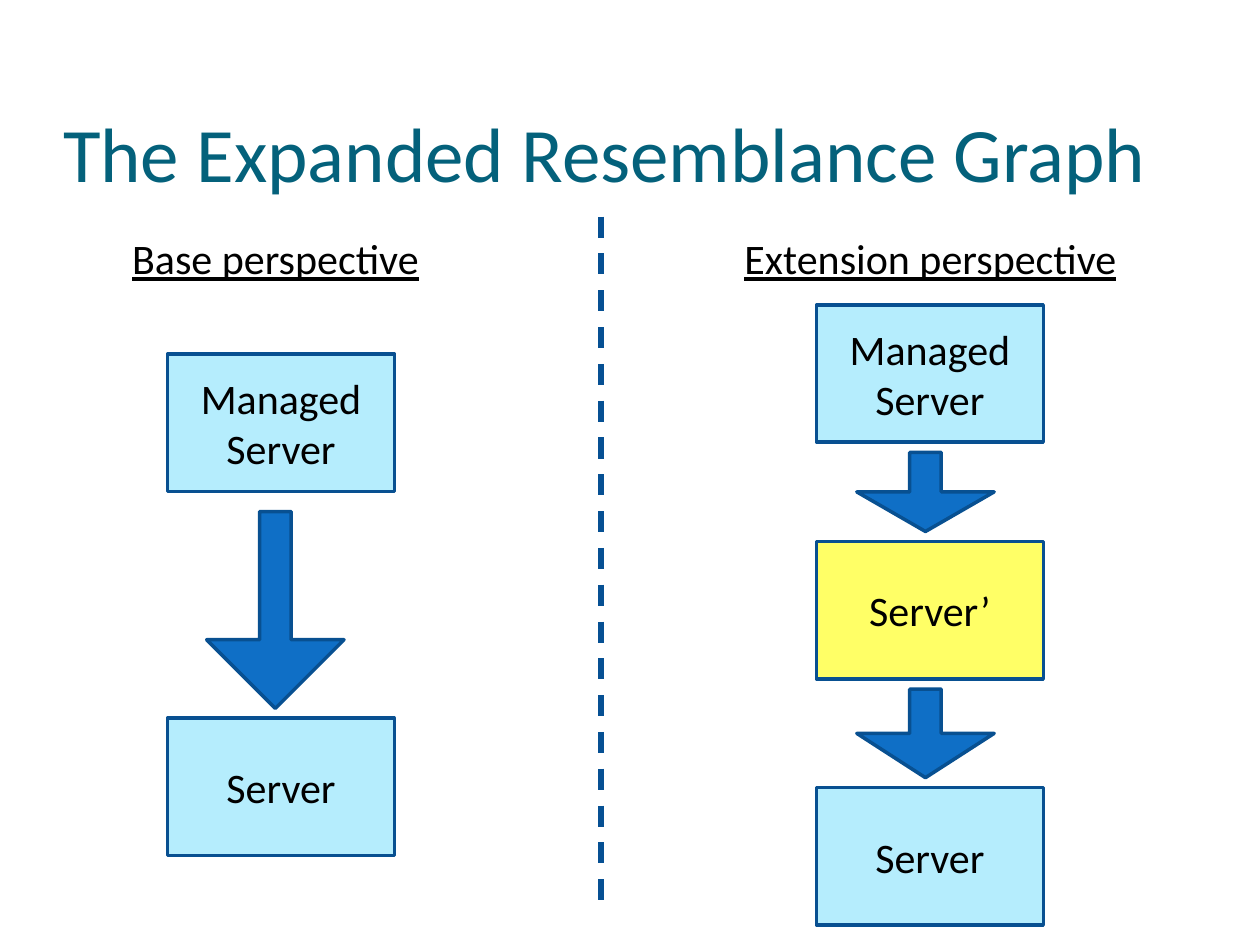
from lxml.etree import SubElement
from pptx import Presentation
from pptx.dml.color import RGBColor
from pptx.enum.dml import MSO_LINE
from pptx.enum.shapes import MSO_CONNECTOR, MSO_SHAPE
from pptx.enum.text import MSO_ANCHOR, MSO_AUTO_SIZE, PP_ALIGN
from pptx.oxml.ns import qn
from pptx.util import Pt

TITLE = "The Expanded Resemblance Graph"
CYAN, YELLOW, BLUE, NAVY = "B5EDFD", "FFFF66", "0F6FC6", "085091"
BOX_WIDTH, BOX_HEIGHT = 129.6, 78.5
ARROW_WIDTH = 78.5
PERSPECTIVES = [
    {
        "heading": ("Base perspective", 68.4, 178.6),
        "box_left": 95.8,
        "boxes": [("Managed\nServer", 202.3, CYAN), ("Server", 410.4, CYAN)],
        "arrow_left": 118.1,
        "arrows": [(292.3, 112.5)],
    },
    {
        "heading": ("Extension perspective", 418.3, 227.5),
        "box_left": 466.6,
        "boxes": [("Managed\nServer", 174.2, CYAN), ("Server’", 309.4, YELLOW),
                  ("Server", 450, CYAN)],
        "arrow_left": 489.6,
        "arrows": [(258.5, 45.2), (393.8, 50.6)],
    },
]


def color(hex_value):
    return RGBColor.from_string(hex_value)


def place(shape, *bounds):
    for name, value in zip(("left", "top", "width", "height"), bounds):
        setattr(shape, name, Pt(value))


def write(shape, text, frame_format, align=PP_ALIGN.LEFT, size=24,
          font_color="000000", underline=None):
    frame = shape.text_frame
    for name, value in frame_format.items():
        setattr(frame, name, value)
    frame.text = text
    font_format = {"name": "Calibri", "size": Pt(size), "underline": underline}
    for paragraph in frame.paragraphs:
        paragraph.alignment = align
        for name, value in font_format.items():
            setattr(paragraph.font, name, value)
        paragraph.font.color.rgb = color(font_color)


def add_block(slide, kind, bounds, fill):
    shape = slide.shapes.add_shape(kind, *map(Pt, bounds))
    shape.shadow.inherit = False
    shape.fill.solid()
    shape.fill.fore_color.rgb = color(fill)
    shape.line.color.rgb = color(NAVY)
    shape.line.width = Pt(2)
    return shape


def add_perspective(slide, perspective):
    text, left, width = perspective["heading"]
    heading = slide.shapes.add_textbox(Pt(left), Pt(129.6), Pt(width), Pt(36))
    write(heading, text, {"word_wrap": False,
                          "auto_size": MSO_AUTO_SIZE.SHAPE_TO_FIT_TEXT},
          underline=True)
    for text, top, fill in perspective["boxes"]:
        bounds = (perspective["box_left"], top, BOX_WIDTH, BOX_HEIGHT)
        box = add_block(slide, MSO_SHAPE.RECTANGLE, bounds, fill)
        write(box, text, {"vertical_anchor": MSO_ANCHOR.MIDDLE}, PP_ALIGN.CENTER)
    for top, height in perspective["arrows"]:
        bounds = (perspective["arrow_left"], top, ARROW_WIDTH, height)
        arrow = add_block(slide, MSO_SHAPE.DOWN_ARROW, bounds, BLUE)
        arrow.adjustments[0] = 0.23
        arrow.adjustments[1] = 0.5


def add_divider(slide):
    divider = slide.shapes.add_connector(
        MSO_CONNECTOR.STRAIGHT, Pt(343.4), Pt(123.8), Pt(343.4), Pt(523.4))
    divider.line.color.rgb = color("065093")
    divider.line.width = Pt(3)
    divider.line.dash_style = MSO_LINE.DASH
    SubElement(divider.element.spPr, qn("a:effectLst"))


def main():
    presentation = Presentation()
    presentation.slide_width, presentation.slide_height = Pt(720), Pt(540)
    slide = presentation.slides.add_slide(presentation.slide_layouts[5])
    title = slide.shapes.title
    place(title, 36, 39.6, 648, 73.4)
    write(title, TITLE, {"margin_left": 0, "margin_right": 0,
                         "margin_top": Pt(3.6), "margin_bottom": 0,
                         "vertical_anchor": MSO_ANCHOR.BOTTOM,
                         "auto_size": MSO_AUTO_SIZE.NONE},
          size=44, font_color="04617B")
    for perspective in PERSPECTIVES:
        add_perspective(slide, perspective)
    add_divider(slide)
    presentation.save("out.pptx")


if __name__ == "__main__":
    main()
